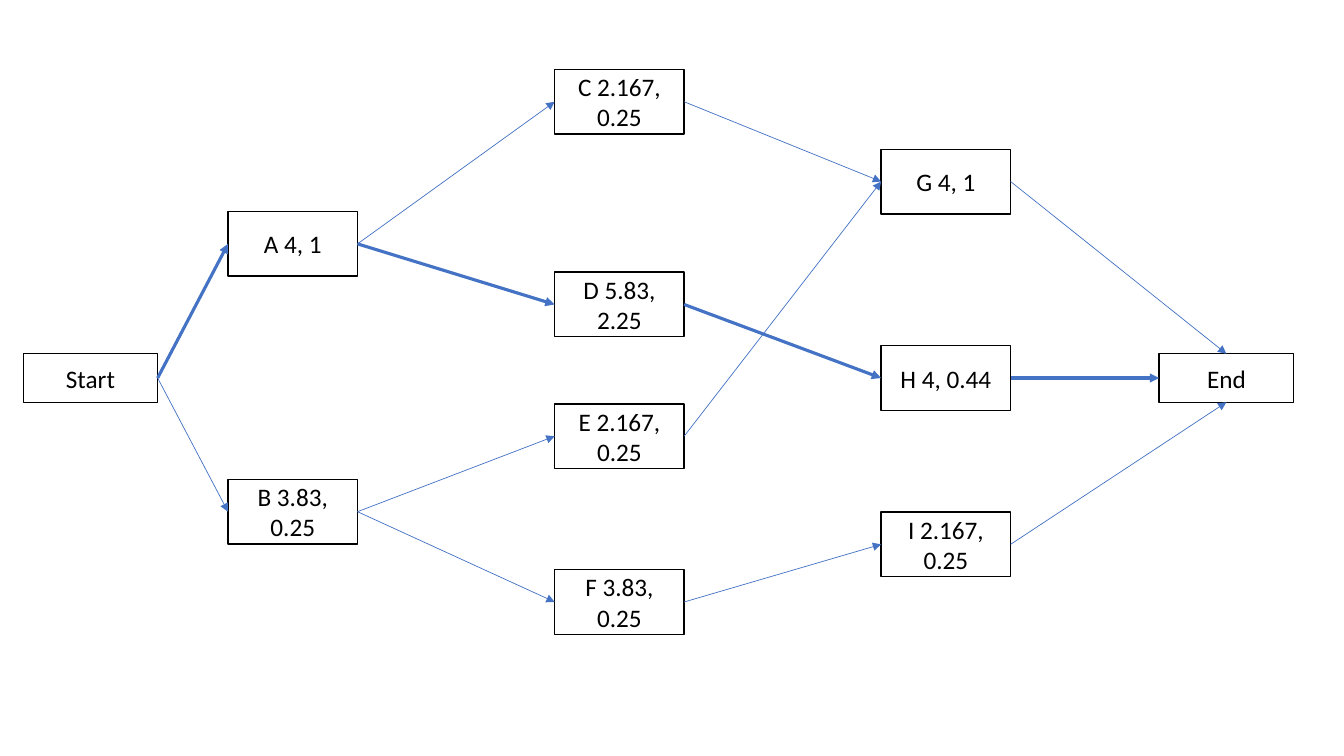
from lxml import etree
from pptx import Presentation
from pptx.dml.color import RGBColor
from pptx.enum.shapes import MSO_CONNECTOR, MSO_SHAPE
from pptx.enum.text import MSO_ANCHOR, PP_ALIGN
from pptx.oxml.ns import qn
from pptx.util import Pt

RECTANGLE = MSO_SHAPE.RECTANGLE
STRAIGHT = MSO_CONNECTOR.STRAIGHT
MIDDLE = MSO_ANCHOR.MIDDLE
CENTER = PP_ALIGN.CENTER

# Connection sites of a rectangle
TOP, LEFT, BOTTOM, RIGHT = range(4)

TERMINAL_SIZE = (96, 34.6)
TASK_SIZE = (92.5, 46.2)

# Each column: left edge, box size, and (text, vertical centre) of its boxes
COLUMNS = [
    (16.6, TERMINAL_SIZE, [("Start", 270)]),
    (162.9, TASK_SIZE, [("A 4, 1", 174.2), ("B 3.83, 0.25", 365.5)]),
    (396.2, TASK_SIZE, [("C 2.167, 0.25", 72.7), ("D 5.83, 2.25", 217.5),
                        ("E 2.167, 0.25", 311.6), ("F 3.83, 0.25", 430)]),
    (629.4, TASK_SIZE, [("G 4, 1", 129.7), ("H 4, 0.44", 270),
                        ("I 2.167, 0.25", 388.8)]),
    (828, TERMINAL_SIZE, [("End", 270)]),
]

CRITICAL_PATH = ["Start", "A", "D", "H", "End"]
DEPENDENCIES = [
    ("Start", "A"), ("Start", "B"),
    ("A", "C"), ("A", "D"), ("B", "E"), ("B", "F"),
    ("C", "G"), ("E", "G"), ("D", "H"), ("F", "I"),
    ("G", "End"), ("H", "End"), ("I", "End"),
]
# Arrows that do not enter at the left side
ENTRY_SITES = {("G", "End"): TOP, ("I", "End"): BOTTOM}


def color(hex_string):
    return RGBColor.from_string(hex_string)


def add_box(slide, text, left, center_y, size):
    width, height = size
    shape = slide.shapes.add_shape(RECTANGLE, Pt(left), Pt(center_y - height / 2),
                                   Pt(width), Pt(height))
    shape.shadow.inherit = False
    shape.fill.background()
    shape.line.color.rgb = color("000000")
    shape.line.width = Pt(1)
    frame = shape.text_frame
    frame.word_wrap = True
    frame.vertical_anchor = MIDDLE
    paragraph = frame.paragraphs[0]
    paragraph.text = text
    paragraph.alignment = CENTER
    paragraph.font.name = "Calibri"
    paragraph.font.size = Pt(18)
    paragraph.font.color.rgb = color("000000")
    return shape


def add_arrow(slide, source, target, entry_site, width):
    connector = slide.shapes.add_connector(STRAIGHT, 0, 0, 0, 0)
    connector.begin_connect(source, RIGHT)
    connector.end_connect(target, entry_site)
    connector.line.color.rgb = color("4472C4")
    connector.line.width = Pt(width)
    properties = connector.element.spPr
    etree.SubElement(properties.find(qn("a:ln")), qn("a:tailEnd"), type="triangle")
    etree.SubElement(properties, qn("a:effectLst"))


def main():
    presentation = Presentation()
    presentation.slide_width = Pt(960)
    presentation.slide_height = Pt(540)
    slide = presentation.slides.add_slide(presentation.slide_layouts[6])

    boxes = {}
    for left, size, entries in COLUMNS:
        for text, center_y in entries:
            name = text.split()[0]
            boxes[name] = add_box(slide, text, left, center_y, size)

    critical_steps = set(zip(CRITICAL_PATH, CRITICAL_PATH[1:]))
    for step in DEPENDENCIES:
        source, target = step
        width = 2.25 if step in critical_steps else 0.5
        add_arrow(slide, boxes[source], boxes[target],
                  ENTRY_SITES.get(step, LEFT), width)

    presentation.save("out.pptx")


if __name__ == "__main__":
    main()
